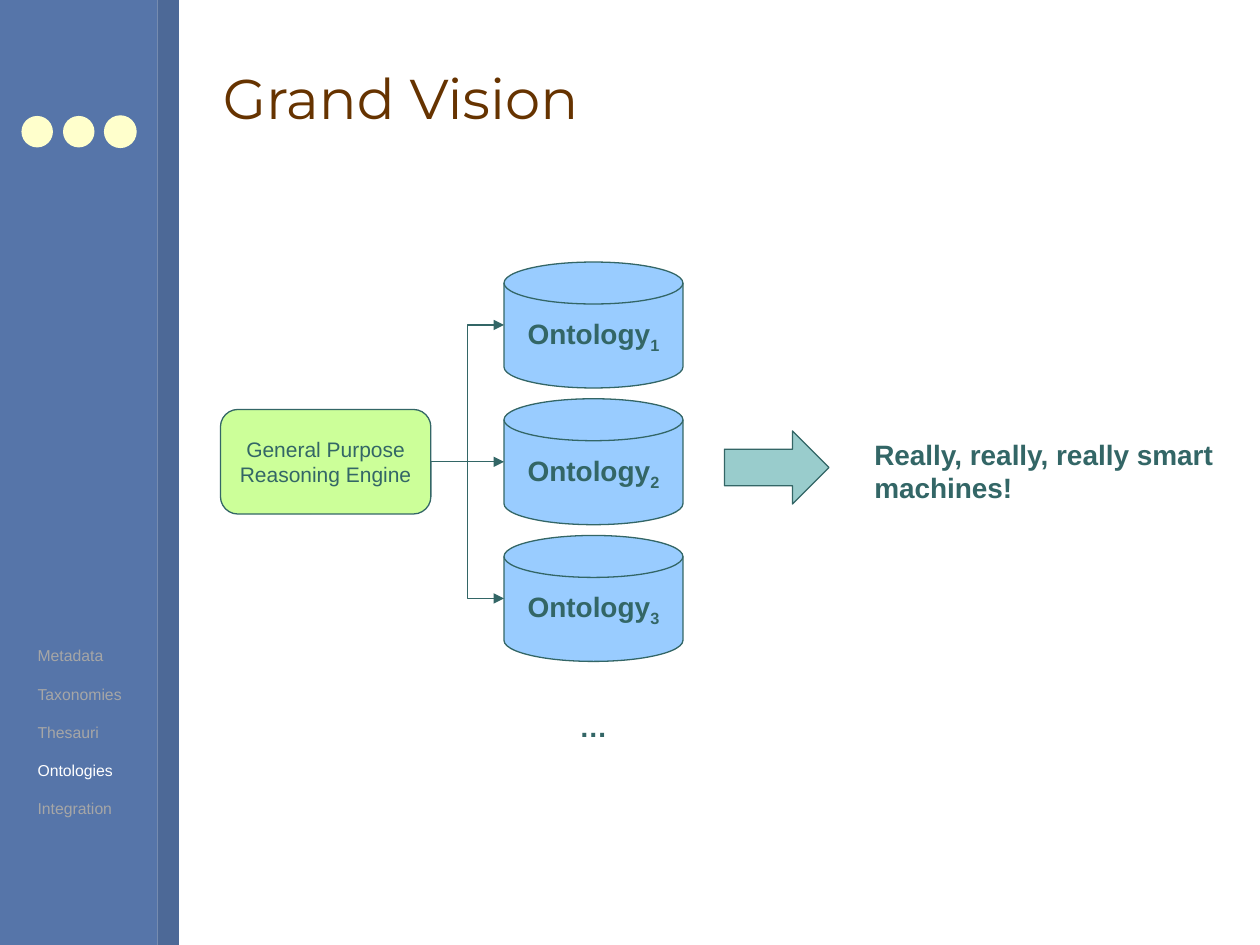
from pptx import Presentation
from pptx.dml.color import RGBColor
from pptx.enum.shapes import MSO_CONNECTOR as LINK, MSO_SHAPE as SHAPE
from pptx.enum.text import MSO_ANCHOR as ANCHOR, PP_ALIGN as ALIGN
from pptx.oxml.ns import qn
from pptx.util import Inches, Pt
from lxml.etree import SubElement

INK = "336666"


def add_block(kind, left, top, width, height, fill, line=None):
    block = slide.shapes.add_shape(kind, Inches(left), Inches(top), Inches(width), Inches(height))
    block.shadow.inherit = False
    block.fill.solid()
    block.fill.fore_color.rgb = RGBColor.from_string(fill)
    if line:
        block.line.color.rgb = RGBColor.from_string(line)
        block.line.width = Pt(0.75)
    else:
        block.line.fill.background()
    return block


def style(paragraph, size, color=INK, bold=False, font="Arial"):
    for run in paragraph.runs:
        run.font.name = font
        run.font.size = Pt(size)
        run.font.bold = bold
        run.font.color.rgb = RGBColor.from_string(color)


prs = Presentation()
prs.slide_width, prs.slide_height = Inches(10), Inches(7.5)
slide = prs.slides.add_slide(prs.slide_layouts[6])

add_block(SHAPE.RECTANGLE, 0, 0, 1.25, 7.5, "5675A9")
add_block(SHAPE.RECTANGLE, 1.25, 0, 0.17, 7.5, "4D6997")
for left, outline in [(0.17, None), (0.5, None), (0.83, "FFFFCC")]:
    add_block(SHAPE.OVAL, left, 0.92, 0.25, 0.25, "FFFFCC", outline)

captions = [
    ("Grand Vision", 1.67, 0.21, 8, 1.13, 32, "663300", False, "Montserrat"),
    ("…", 4.5, 5.58, 0.42, 0.37, 16, INK, True, "Arial"),
    ("Really, really, really smart\vmachines!", 6.84, 3.42, 2.92, 0.64, 16, INK, True, "Arial"),
]
for text, left, top, width, height, size, color, bold, font in captions:
    caption = slide.shapes.add_textbox(Inches(left), Inches(top), Inches(width), Inches(height))
    caption.text_frame.text = text
    caption.text_frame.word_wrap = text == "Grand Vision"
    if text == "Grand Vision":
        caption.text_frame.vertical_anchor = ANCHOR.MIDDLE
    style(caption.text_frame.paragraphs[0], size, color, bold, font)

engine = add_block(SHAPE.ROUNDED_RECTANGLE, 1.75, 3.25, 1.67, 0.83, "CCFF99", INK)
engine.text_frame.text = "General Purpose Reasoning Engine"
engine.text_frame.word_wrap = True
engine.text_frame.vertical_anchor = ANCHOR.MIDDLE
engine.text_frame.paragraphs[0].alignment = ALIGN.CENTER
style(engine.text_frame.paragraphs[0], 12)
engine_right = engine.left + engine.width
engine_middle = engine.top + engine.height // 2

for number in (1, 2, 3):
    ontology = add_block(SHAPE.FLOWCHART_MAGNETIC_DISK, 4, 2.08 + 1.085 * (number - 1), 1.42, 1, "99CCFF", INK)
    ontology.text_frame.vertical_anchor = ANCHOR.MIDDLE
    label = ontology.text_frame.paragraphs[0]
    label.alignment = ALIGN.CENTER
    label.add_run().text = "Ontology"
    subscript = label.add_run()
    subscript.text = str(number)
    style(label, 16, bold=True)
    subscript.font._element.set("baseline", "-25000")

    route = LINK.STRAIGHT if number == 2 else LINK.ELBOW
    ontology_middle = ontology.top + ontology.height // 2
    arrow = slide.shapes.add_connector(route, engine_right, engine_middle, ontology.left, ontology_middle)
    if route == LINK.STRAIGHT:
        arrow.begin_connect(engine, 3)
    arrow.line.color.rgb = RGBColor.from_string(INK)
    arrow.line.width = Pt(0.75)
    SubElement(arrow.line._get_or_add_ln(), qn("a:tailEnd"), type="triangle")
    SubElement(arrow._element.spPr, qn("a:effectLst"))

add_block(SHAPE.RIGHT_ARROW, 5.75, 3.42, 0.83, 0.58, "99CCCC", INK)

topics = ["Metadata", "Taxonomies", "Thesauri", "Ontologies", "Integration"]
agenda = slide.shapes.add_textbox(Inches(0.2), Inches(5.08), Inches(0.88), Inches(1.46))
agenda.text_frame.text = "\n".join(topics)
agenda.text_frame.word_wrap = False
for index, topic in enumerate(agenda.text_frame.paragraphs):
    if index:
        topic.space_before = Pt(10.9)
    style(topic, 9, "FFFFFF" if topic.text == "Ontologies" else "A6A6A6")

prs.save("out.pptx")
